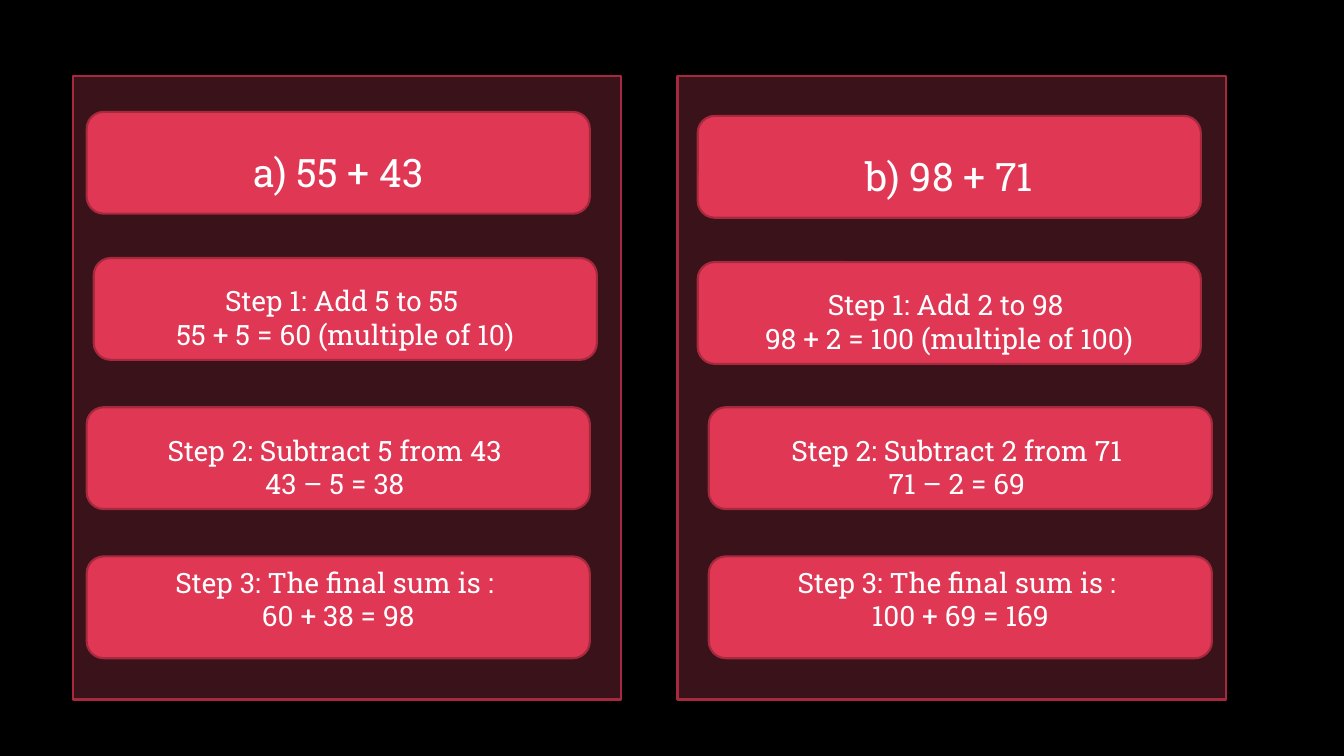
import dataclasses

import pptx
import pptx.dml.color
import pptx.enum.shapes
import pptx.enum.text
import pptx.shapes.autoshape
import pptx.slide
import pptx.util

EMU_PER_PX = 9144  # 100 px to the inch
SLIDE_WIDTH, SLIDE_HEIGHT = 1333, 750
PANEL_TOP, PANEL_WIDTH, PANEL_HEIGHT = 75, 544, 619
CARD_WIDTH, CARD_HEIGHT = 499, 101
SIDE_INSET, END_INSET = 10, 5
TEXT_SHIFT = 17  # added to one end inset to move text off the middle

BLACK = pptx.dml.color.RGBColor(0x00, 0x00, 0x00)
WHITE = pptx.dml.color.RGBColor(0xFF, 0xFF, 0xFF)
MAROON = pptx.dml.color.RGBColor(0x3A, 0x12, 0x19)
RED = pptx.dml.color.RGBColor(0xE0, 0x37, 0x54)
DARK_RED = pptx.dml.color.RGBColor(0xA6, 0x29, 0x3E)

RECTANGLE = pptx.enum.shapes.MSO_SHAPE.RECTANGLE
ROUNDED_RECTANGLE = pptx.enum.shapes.MSO_SHAPE.ROUNDED_RECTANGLE


@dataclasses.dataclass(frozen=True)
class Card:
    left: int
    top: int
    lines: tuple[str, ...]
    font_size: int = 20
    raised: bool = False


@dataclasses.dataclass(frozen=True)
class Panel:
    left: int
    cards: tuple[Card, ...]


PANELS = (
    Panel(72, (
        Card(86, 111, ("a) 55 + 43",), font_size=28),
        Card(93, 256, ("Step 1: Add 5 to 55 ", "55 + 5 = 60 (multiple of 10)")),
        Card(86, 404, ("Step 2: Subtract 5 from 43 ", "43 – 5 = 38 ")),
        Card(86, 552, ("Step 3: The final sum is : ", "60 + 38 = 98"), raised=True),
    )),
    Panel(672, (
        Card(692, 115, ("b) 98 + 71",), font_size=28),
        Card(692, 260, ("Step 1: Add 2 to 98 ", "98 + 2 = 100 (multiple of 100)")),
        Card(703, 404, ("Step 2: Subtract 2 from 71 ", "71 – 2 = 69 ")),
        Card(703, 552, ("Step 3: The final sum is : ", "100 + 69 = 169"), raised=True),
    )),
)


def px(length: int) -> pptx.util.Emu:
    return pptx.util.Emu(length * EMU_PER_PX)


def set_attributes(target: object, values: dict[str, object]) -> None:
    for name, value in values.items():
        setattr(target, name, value)


def add_box(
    slide: pptx.slide.Slide,
    kind: pptx.enum.shapes.MSO_SHAPE,
    bounds: tuple[int, int, int, int],
    fill: pptx.dml.color.RGBColor,
) -> pptx.shapes.autoshape.Shape:
    shape = slide.shapes.add_shape(kind, *map(px, bounds))
    shape.shadow.inherit = False
    shape.fill.solid()
    shape.fill.fore_color.rgb = fill
    shape.line.color.rgb = DARK_RED
    shape.line.width = pptx.util.Pt(1.5)
    return shape


def add_card(slide: pptx.slide.Slide, card: Card) -> None:
    bounds = (card.left, card.top, CARD_WIDTH, CARD_HEIGHT)
    text_frame = add_box(slide, ROUNDED_RECTANGLE, bounds, RED).text_frame
    set_attributes(text_frame, {
        "word_wrap": True,
        "vertical_anchor": pptx.enum.text.MSO_ANCHOR.MIDDLE,
        "margin_left": px(SIDE_INSET),
        "margin_right": px(SIDE_INSET),
        "margin_top": px(END_INSET + (0 if card.raised else TEXT_SHIFT)),
        "margin_bottom": px(END_INSET + (TEXT_SHIFT if card.raised else 0)),
    })
    text_frame.text = "\n".join(card.lines)
    for paragraph in text_frame.paragraphs:
        paragraph.alignment = pptx.enum.text.PP_ALIGN.CENTER
        for run in paragraph.runs:
            set_attributes(run.font, {
                "name": "Roboto Slab",
                "size": pptx.util.Pt(card.font_size),
            })
            run.font.color.rgb = WHITE


def main() -> None:
    presentation = pptx.Presentation()
    set_attributes(presentation, {
        "slide_width": px(SLIDE_WIDTH),
        "slide_height": px(SLIDE_HEIGHT),
    })
    slide = presentation.slides.add_slide(presentation.slide_layouts[6])
    slide.background.fill.solid()
    slide.background.fill.fore_color.rgb = BLACK
    for panel in PANELS:
        bounds = (panel.left, PANEL_TOP, PANEL_WIDTH, PANEL_HEIGHT)
        add_box(slide, RECTANGLE, bounds, MAROON)
        for card in panel.cards:
            add_card(slide, card)
    presentation.save("out.pptx")


if __name__ == "__main__":
    main()
